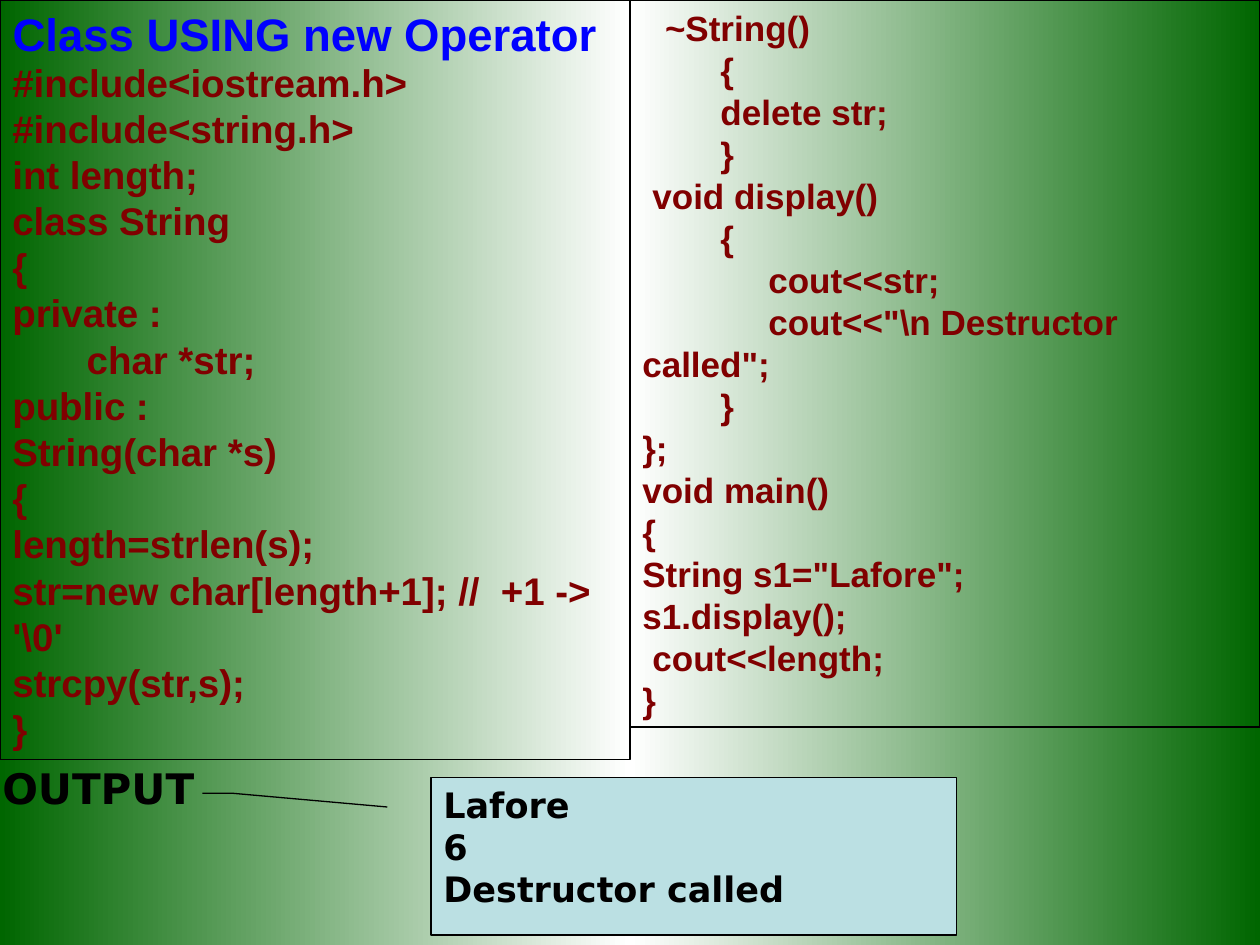
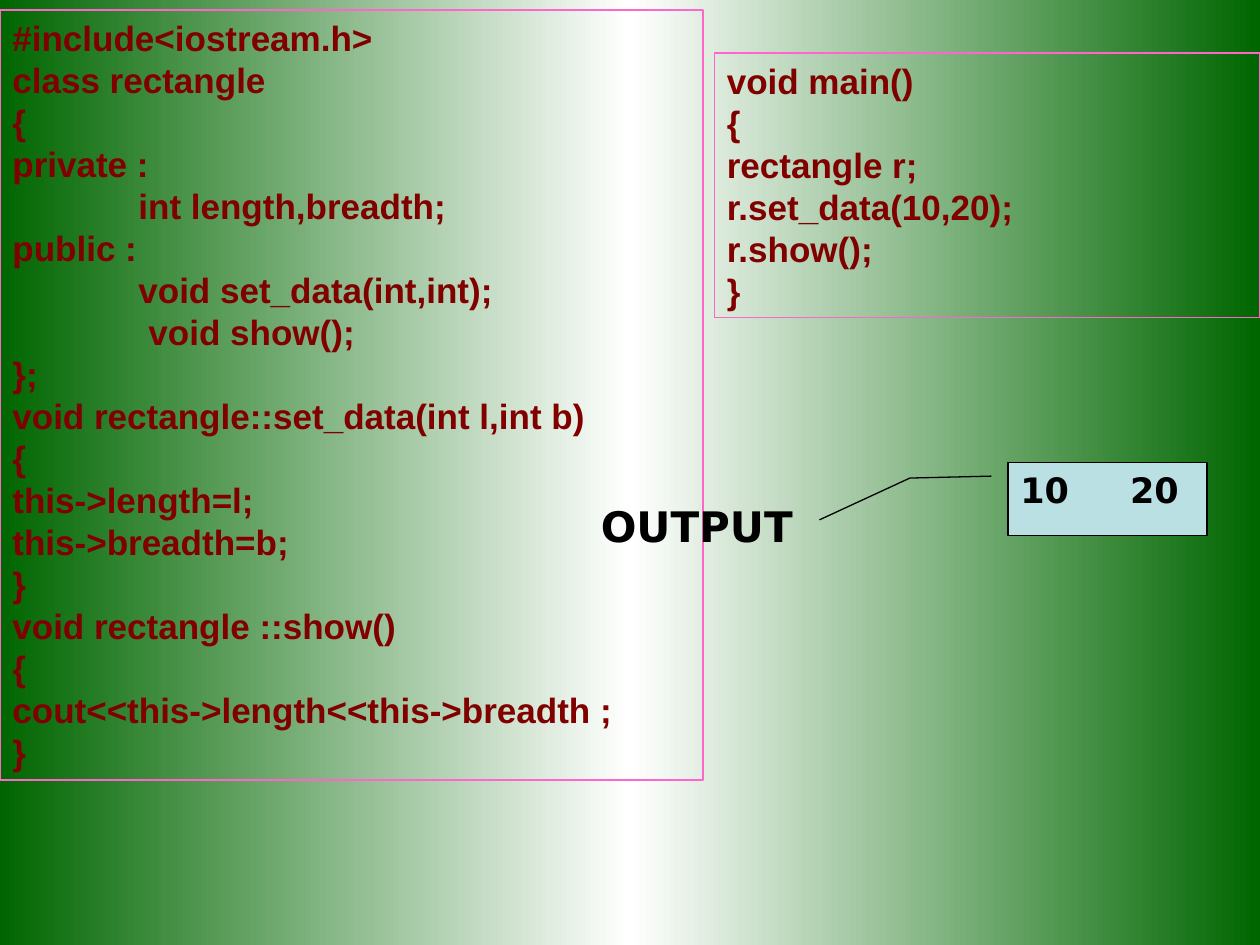
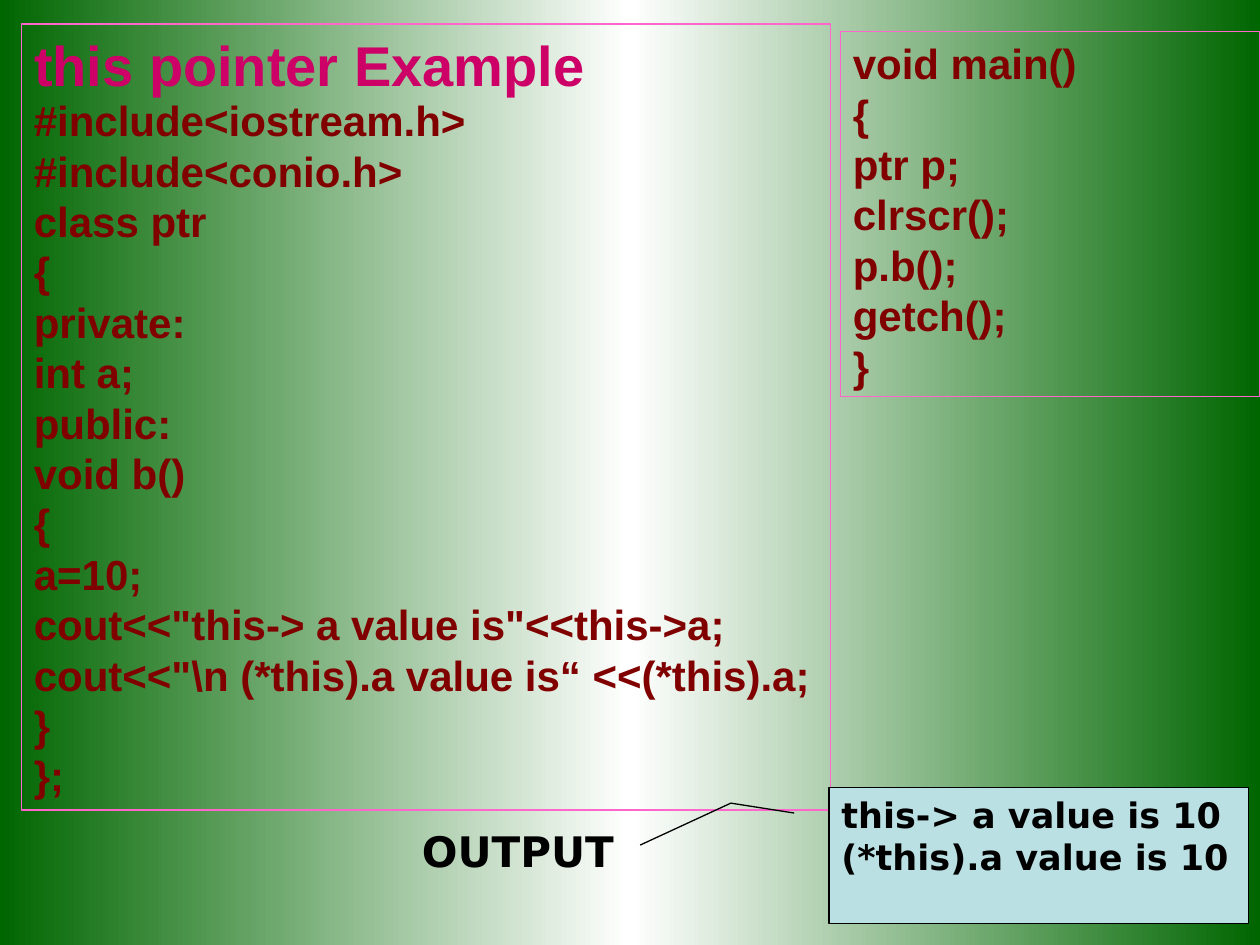
from copy import deepcopy

from pptx import Presentation
from pptx.dml.color import RGBColor
from pptx.enum.shapes import MSO_SHAPE
from pptx.enum.text import MSO_ANCHOR, MSO_AUTO_SIZE, PP_ALIGN
from pptx.oxml.ns import qn
from pptx.util import Inches, Pt
from lxml.etree import SubElement

# Shared look
GREEN, WHITE, BLACK = "006600", "FFFFFF", "000000"
MAROON, BLUE, MAGENTA, PINK, PALE_BLUE = "800000", "0000FF", "CC0066", "FF66CC", "BBE0E3"
CODE_FONT, OUTPUT_FONT = "Arial", "DejaVu Sans"
INSET_X, INSET_Y = 0.1, 0.05
LINE_HEIGHT = 1.15 / 72      # inches per point of text size
TITLE_ONLY, BLANK = 5, 6


def rgb(value):
    return RGBColor.from_string(value)


def apply(target, values):
    for name, value in values.items():
        setattr(target, name, value)


def paint_background(master):
    """Green edges with a white middle, on every slide."""
    fill = master.background.fill
    fill.gradient()
    fill.gradient_angle = 180
    stop_list = master.element.xpath("./p:cSld/p:bg//a:gsLst")[0]
    stop_list.append(deepcopy(stop_list[0]))
    for stop, position, color in zip(fill.gradient_stops, (0, 0.5, 1), (GREEN, WHITE, GREEN)):
        stop.position = position
        stop.color.rgb = rgb(color)


def write(frame, lines, size, font, color, grow=False, top=INSET_Y):
    """Write lines; a pair is (first-line indent in inches, text)."""
    apply(frame, {
        "word_wrap": True,
        "auto_size": MSO_AUTO_SIZE.SHAPE_TO_FIT_TEXT if grow else MSO_AUTO_SIZE.NONE,
        "vertical_anchor": MSO_ANCHOR.TOP,
        "margin_left": Inches(INSET_X), "margin_right": Inches(INSET_X),
        "margin_top": Inches(top), "margin_bottom": Inches(INSET_Y),
    })
    for number, line in enumerate(lines):
        indent, text = line if isinstance(line, tuple) else (0, line)
        paragraph = frame.add_paragraph() if number else frame.paragraphs[0]
        paragraph.alignment = PP_ALIGN.LEFT
        if indent:
            properties = paragraph._p.get_or_add_pPr()
            properties.set("marL", "0")
            properties.set("indent", str(Inches(indent)))
        run = paragraph.add_run()
        run.text = text
        apply(run.font, {"size": Pt(size), "name": font, "bold": True})
        run.font.color.rgb = rgb(color)


def outlined(slide, kind, box, line):
    shape = slide.shapes.add_shape(kind, *map(Inches, box))
    shape.shadow.inherit = False
    shape.fill.background()
    shape.line.color.rgb = rgb(line)
    shape.line.width = Pt(0.74)
    return shape


def code_panel(slide, box, lines, size, line=PINK, heading=None):
    """Framed listing; heading is (text, size, colour) set above the code."""
    top = INSET_Y
    if heading:
        text, heading_size, color = heading
        top += heading_size * LINE_HEIGHT
        title = slide.shapes.title
        left, panel_top, width, _ = box
        apply(title, {"left": Inches(left), "top": Inches(panel_top),
                      "width": Inches(width), "height": Inches(top + INSET_Y)})
        write(title.text_frame, [text], heading_size, CODE_FONT, color)
    panel = outlined(slide, MSO_SHAPE.RECTANGLE, box, line)
    write(panel.text_frame, lines, size, CODE_FONT, MAROON, grow=True, top=top)


def output(slide, box, lines, leader, label_at, tab=None):
    """Result callout with its bent leader and the OUTPUT label."""
    callout = outlined(slide, MSO_SHAPE.LINE_CALLOUT_2, box, BLACK)
    callout.fill.solid()
    callout.fill.fore_color.rgb = rgb(PALE_BLUE)
    for number, value in enumerate((0.188, -0.083, *leader)):
        callout.adjustments[number] = value
    write(callout.text_frame, lines, 20, OUTPUT_FONT, BLACK)
    if tab:
        for paragraph in callout.text_frame.paragraphs:
            stops = SubElement(paragraph._p.get_or_add_pPr(), qn("a:tabLst"))
            SubElement(stops, qn("a:tab"), pos=str(Inches(tab)), algn="l")

    label = slide.shapes.add_textbox(*map(Inches, (*label_at, 2, 0.5)))
    write(label.text_frame, ["OUTPUT"], 24, OUTPUT_FONT, BLACK, grow=True)
    label.text_frame.paragraphs[0].space_before = Pt(15)


def new_operator_slide(prs):
    slide = prs.slides.add_slide(prs.slide_layouts[TITLE_ONLY])
    code_panel(slide, (0, 0, 5, 6.03), [
        "#include<iostream.h>", "#include<string.h>", "int length;",
        "class String", "{", "private :", (0.59, "char *str;"), "public :",
        "String(char *s)", "{", "length=strlen(s);",
        "str=new char[length+1]; //  +1 -> '\\0'", "strcpy(str,s);", "}",
    ], 22, BLACK, ("Class USING new Operator", 26, BLUE))
    block, statement, space = 0.62, 1, 0.08
    code_panel(slide, (5, 0, 5, 5.77), [
        (0.18, "~String()"), (block, "{"), (block, "delete str;"), (block, "}"),
        (space, "void display()"), (block, "{"), (statement, "cout<<str;"),
        (statement, 'cout<<"\\n Destructor called";'), (block, "}"), "};",
        "void main()", "{", 'String s1="Lafore";', "s1.display();",
        (space, "cout<<length;"), "}",
    ], 20, BLACK)
    output(slide, (3.42, 6.17, 4.17, 1.25), ["Lafore", "6", "Destructor called"],
           (0.1, -0.38, 0.1, -0.435), (-0.08, 6))


def rectangle_slide(prs):
    slide = prs.slides.add_slide(prs.slide_layouts[BLANK])
    code_panel(slide, (0, 0.08, 5.58, 6.11), [
        "#include<iostream.h>", "class rectangle", "{", "private :",
        (1, "int length,breadth;"), "public :", (1, "void set_data(int,int);"),
        (1.08, "void show();"), "};", "void rectangle::set_data(int l,int b)", "{",
        "this->length=l;", "this->breadth=b;", "}", "void rectangle ::show()", "{",
        "cout<<this->length<<this->breadth ;", "}",
    ], 20)
    code_panel(slide, (5.67, 0.42, 4.33, 2.1), [
        "void main()", "{", "rectangle r;", "r.set_data(10,20);", "r.show();", "}",
    ], 20)
    output(slide, (8, 3.67, 1.58, 0.58), ["10\t20"],
           (0.214, -0.493, 0.786, -0.947), (4.67, 3.92), tab=0.87)


def this_pointer_slide(prs):
    slide = prs.slides.add_slide(prs.slide_layouts[TITLE_ONLY])
    code_panel(slide, (0.17, 0.19, 6.42, 6.24), [
        "#include<iostream.h>", "#include<conio.h>", "class ptr", "{", "private:",
        "int a;", "public:", "void b()", "{", "a=10;",
        'cout<<"this-> a value is"<<this->a;',
        'cout<<"\\n (*this).a value is\u201c <<(*this).a;', "}", "};",
    ], 24, heading=("this pointer Example", 32, MAGENTA))
    code_panel(slide, (6.67, 0.25, 3.33, 2.9), [
        "void main()", "{", "ptr p;", "clrscr();", "p.b();", "getch();", "}",
    ], 24)
    output(slide, (6.58, 6.25, 3.33, 1.08),
           ["this-> a value is 10", "(*this).a value is 10"],
           (0.115, -0.234, 0.423, -0.45), (3.25, 6.5))


prs = Presentation()
prs.slide_width, prs.slide_height = Inches(10), Inches(7.5)
paint_background(prs.slide_master)
for build in (new_operator_slide, rectangle_slide, this_pointer_slide):
    build(prs)
prs.save("out.pptx")
